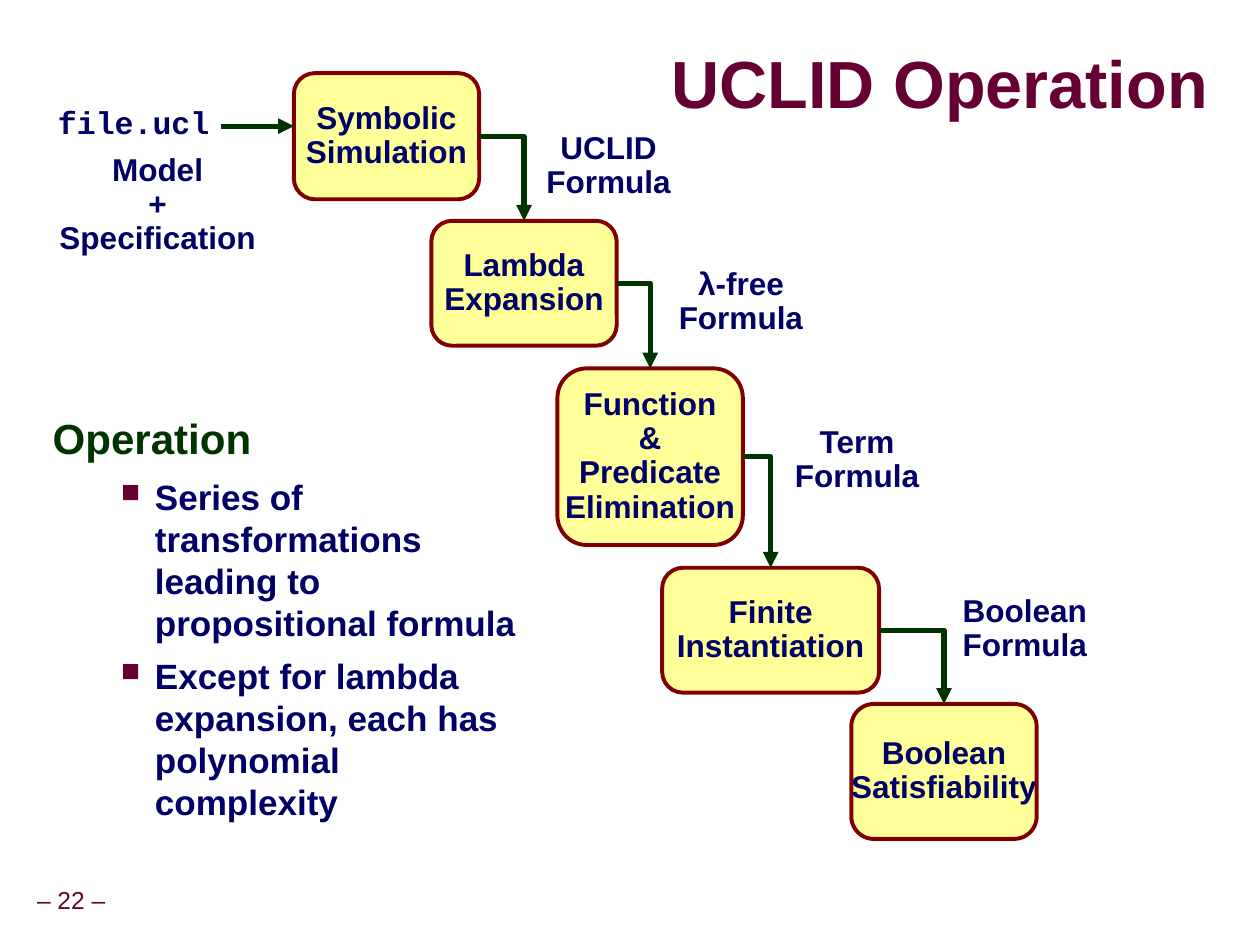
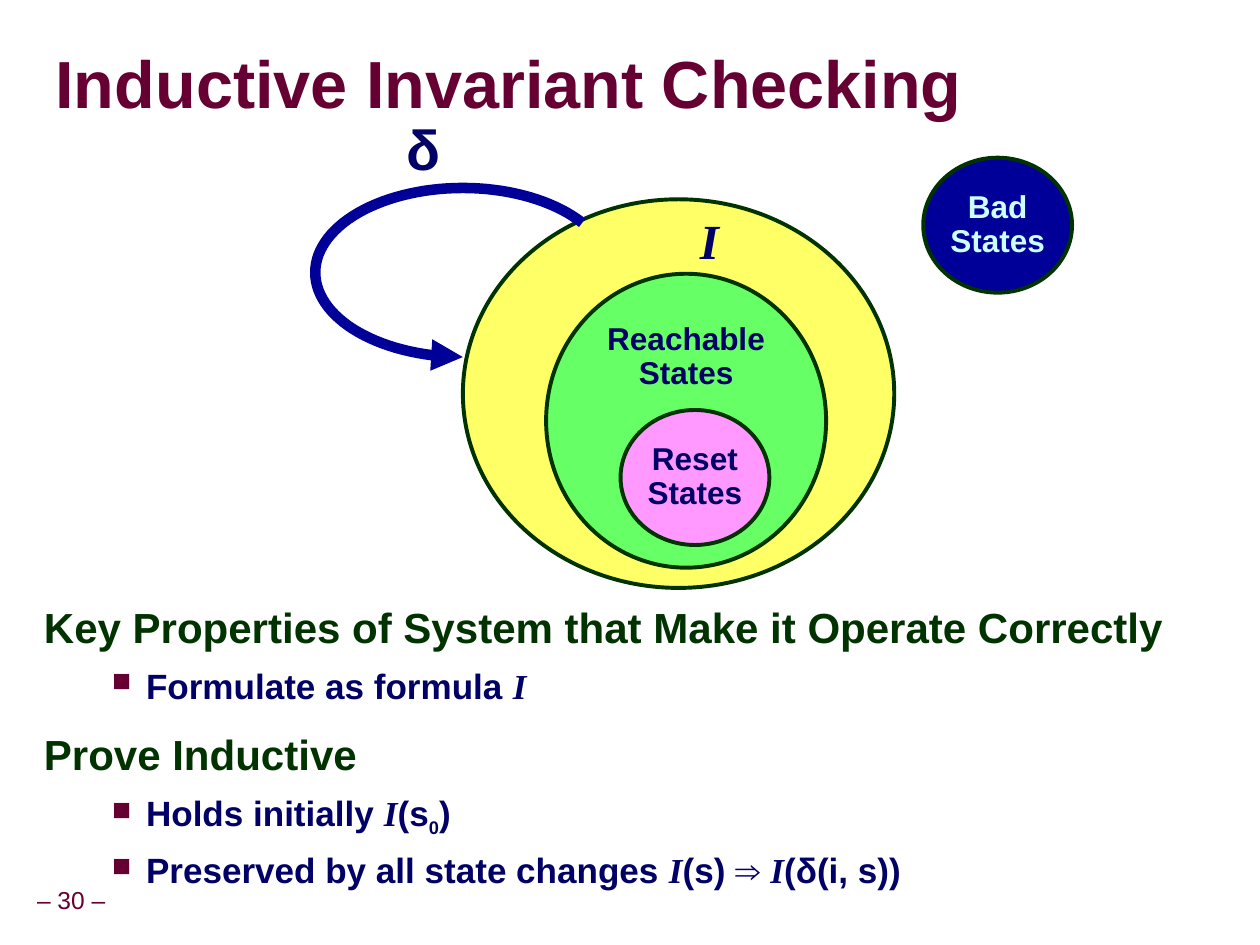
from dataclasses import dataclass
from math import cos, radians, sin
from typing import Optional

from lxml.etree import SubElement
from pptx import Presentation
from pptx.dml.color import RGBColor
from pptx.enum.shapes import MSO_CONNECTOR, MSO_SHAPE
from pptx.enum.text import MSO_ANCHOR, MSO_AUTO_SIZE, PP_ALIGN
from pptx.oxml.ns import qn
from pptx.util import Inches, Pt


@dataclass(frozen=True)
class Theme:
    wine: str = "660033"
    green: str = "003300"
    navy: str = "000066"
    blue: str = "000099"
    pale: str = "CCFFFF"
    brick: str = "800000"
    cream: str = "FFFF99"
    yellow: str = "FFFF66"
    lime: str = "66FF66"
    pink: str = "FF99FF"
    shadow: str = "969696"
    sans: str = "Arial"
    serif: str = "Times New Roman"
    mono: str = "Courier New"
    title: int = 38
    heading: int = 24
    bullet: int = 20
    label: int = 18
    footer: int = 14
    outline: float = 2.25


THEME = Theme()


@dataclass(frozen=True)
class Area:
    left: float
    top: float
    width: float
    height: float

    def emu(self) -> tuple:
        return tuple(Inches(v) for v in (self.left, self.top, self.width, self.height))


@dataclass(frozen=True)
class Style:
    size: int = THEME.label
    color: str = THEME.navy
    name: str = THEME.sans
    bold: bool = True
    italic: bool = False
    baseline: int = 0


@dataclass(frozen=True)
class Span:
    text: str
    style: Style


@dataclass(frozen=True)
class Label:
    area: Area
    lines: tuple
    style: Style = Style()
    align: PP_ALIGN = PP_ALIGN.CENTER


@dataclass(frozen=True)
class Stage:
    area: Area
    lines: tuple


@dataclass(frozen=True)
class StateSet:
    area: Area
    fill: str
    lines: tuple = ()
    color: str = THEME.navy
    anchor: MSO_ANCHOR = MSO_ANCHOR.MIDDLE


@dataclass(frozen=True)
class Item:
    spans: tuple
    bullet: bool = True


LABEL = Style()
BULLET = Style(size=THEME.bullet)
SYMBOL = Style(size=THEME.bullet, name=THEME.serif, italic=True)
SUBSCRIPT = Style(baseline=-25000)
HEADING = Style(size=THEME.heading, color=THEME.green)
TITLE = Style(size=THEME.title, color=THEME.wine)
FOOTER = Style(size=THEME.footer, color=THEME.wine, bold=False)

STAGES = (
    Stage(Area(2.33, 0.58, 1.47, 1), ("Symbolic", "Simulation")),
    Stage(Area(3.42, 1.75, 1.47, 0.99), ("Lambda", "Expansion")),
    Stage(Area(4.42, 2.92, 1.47, 1.4), ("Function", "&", "Predicate", "Elimination")),
    Stage(Area(5.25, 4.5, 1.72, 0.99), ("Finite", "Instantiation")),
    Stage(Area(6.75, 5.58, 1.47, 1.07), ("Boolean", "Satisfiability")),
)
FLOW_LABELS = (
    Label(Area(0.41, 0.8, 1.3, 0.37), ("file.ucl",), Style(name=THEME.mono), PP_ALIGN.RIGHT),
    Label(Area(0.42, 1.17, 1.66, 0.91), ("Model", "+", "Specification")),
    *(Label(Area(left, top, 1.09, 0.64), (kind, "Formula")) for left, top, kind in (
        (4.28, 1, "UCLID"), (5.33, 2.08, "λ-free"), (6.25, 3.33, "Term"), (7.58, 4.67, "Boolean"))),
)
STATE_SETS = (
    StateSet(Area(3.67, 1.58, 3.42, 3.08), THEME.yellow),
    StateSet(Area(4.33, 2.17, 2.22, 2.33), THEME.lime, ("Reachable", "States"), anchor=MSO_ANCHOR.TOP),
    StateSet(Area(4.92, 3.25, 1.18, 1.07), THEME.pink, ("Reset", "States")),
    StateSet(Area(7.32, 1.25, 1.18, 1.07), THEME.blue, ("Bad", "States"), THEME.pale),
)
SET_LABELS = (
    Label(Area(5.5, 1.67, 0.25, 0.52), ("I",), Style(size=28, name=THEME.serif, italic=True)),
    Label(Area(3.17, 0.92, 0.32, 0.58), ("δ",), Style(size=32)),
)
OPERATION = (
    Item((Span("Operation", HEADING),), False),
    Item((Span("Series of transformations leading to propositional formula", BULLET),)),
    Item((Span("Except for lambda expansion, each has polynomial complexity", BULLET),)),
)
PROPERTIES = (
    Item((Span("Key Properties of System that Make it Operate Correctly", HEADING),), False),
    Item((Span("Formulate as formula ", BULLET), Span("I", SYMBOL))),
    Item((Span("Prove Inductive", HEADING),), False),
    Item((Span("Holds initially ", BULLET), Span("I", SYMBOL), Span("(s", BULLET),
          Span("0", SUBSCRIPT), Span(")", BULLET))),
    Item((Span("Preserved by all state changes ", BULLET), Span("I", SYMBOL),
          Span("(s) ⇒ ", BULLET), Span("I", SYMBOL), Span("(δ(i, s))", BULLET))),
)


def apply(target, values: dict) -> None:
    for key, value in values.items():
        setattr(target, key, value)


def rgb(color: str) -> RGBColor:
    return RGBColor.from_string(color)


def add_span(para, text: str, style: Style):
    span = para.add_run()
    span.text = text
    apply(span.font, {"size": Pt(style.size), "name": style.name,
                      "bold": style.bold, "italic": style.italic})
    span.font.color.rgb = rgb(style.color)
    if style.baseline:
        span.font._element.set("baseline", str(style.baseline))
    return span


def set_frame(frame, inset: tuple = (0.05, 0.05), wrap: bool = False,
              anchor: MSO_ANCHOR = MSO_ANCHOR.TOP,
              fit: MSO_AUTO_SIZE = MSO_AUTO_SIZE.NONE) -> None:
    side, end = (Inches(v) for v in inset)
    apply(frame, {"margin_left": side, "margin_right": side, "margin_top": end,
                  "margin_bottom": end, "word_wrap": wrap,
                  "vertical_anchor": anchor, "auto_size": fit})


def next_para(frame, index: int):
    return frame.add_paragraph() if index else frame.paragraphs[0]


def write_lines(frame, lines: tuple, style: Style, align: PP_ALIGN = PP_ALIGN.CENTER) -> None:
    for index, line in enumerate(lines):
        para = next_para(frame, index)
        apply(para, {"alignment": align, "line_spacing": 0.9})
        add_span(para, line, style)


def add_label(page, label: Label, anchor: MSO_ANCHOR = MSO_ANCHOR.TOP) -> None:
    frame = page.shapes.add_textbox(*label.area.emu()).text_frame
    set_frame(frame, anchor=anchor, fit=MSO_AUTO_SIZE.SHAPE_TO_FIT_TEXT)
    write_lines(frame, label.lines, label.style, label.align)


def add_bullet(para) -> None:
    props = para._p.get_or_add_pPr()
    SubElement(SubElement(props, qn("a:buClr")), qn("a:srgbClr"), val=THEME.wine)
    SubElement(props, qn("a:buSzPct"), val="75000")
    SubElement(props, qn("a:buChar"), char="■")


def add_body(page, area: Area, items: tuple) -> None:
    frame = page.shapes.add_textbox(*area.emu()).text_frame
    set_frame(frame, (0.1, 0.05), True)
    for index, item in enumerate(items):
        para = next_para(frame, index)
        margin, indent = (0.81, -0.27) if item.bullet else (0.42, -0.42)
        props = para._p.get_or_add_pPr()
        props.set("marL", str(Inches(margin)))
        props.set("indent", str(Inches(indent)))
        if item.bullet:
            add_bullet(para)
        before = 6.2 if item.bullet else 15
        apply(para, {"line_spacing": 1.0 if item.bullet else 0.95,
                     "space_before": Pt(before if index else 0)})
        for span in item.spans:
            add_span(para, span.text, span.style)


def add_box(page, kind: MSO_SHAPE, area: Area, fill: str, line: str, lines: tuple,
            style: Style = LABEL, anchor: MSO_ANCHOR = MSO_ANCHOR.MIDDLE):
    box = page.shapes.add_shape(kind, *area.emu())
    box.shadow.inherit = False
    box.fill.solid()
    box.fill.fore_color.rgb = rgb(fill)
    box.line.color.rgb = rgb(line)
    box.line.width = Pt(THEME.outline)
    set_frame(box.text_frame, anchor=anchor)
    write_lines(box.text_frame, lines, style)
    return box


def set_arrow(shape, color: str, width: float) -> None:
    shape.line.color.rgb = rgb(color)
    shape.line.width = Pt(width)
    SubElement(shape.line._get_or_add_ln(), qn("a:tailEnd"), type="triangle")


def add_arrow(page, kind: MSO_CONNECTOR, start: tuple = (0, 0), end: tuple = (0, 0)):
    arrow = page.shapes.add_connector(kind, *(Inches(v) for v in (*start, *end)))
    set_arrow(arrow, THEME.green, 3)
    SubElement(arrow._element.spPr, qn("a:effectLst"))
    return arrow


def add_step(page, source, target) -> None:
    arrow = add_arrow(page, MSO_CONNECTOR.ELBOW)
    arrow.begin_connect(source, 3)
    arrow.end_connect(target, 0)
    arrow._element.spPr.find(qn("a:prstGeom")).set("prst", "bentConnector2")


def add_loop(page, center: tuple, radii: tuple, first: int, last: int) -> None:
    points = [tuple(Inches(c + r * turn(radians(angle)))
                    for c, r, turn in zip(center, radii, (cos, sin)))
              for angle in range(first, last - 1, -3)]
    builder = page.shapes.build_freeform(*points[0])
    builder.add_line_segments(points[1:], close=False)
    loop = builder.convert_to_shape()
    loop.shadow.inherit = False
    loop.fill.background()
    set_arrow(loop, THEME.blue, 6)


def add_page(deck, title: str, number: int, width: float,
             align: Optional[PP_ALIGN] = PP_ALIGN.LEFT):
    page = deck.slides.add_slide(deck.slide_layouts[5])
    heading = page.shapes.title
    left, top, wide, high = Area(0.44, 0.27, width, 0.85).emu()
    apply(heading, {"left": left, "top": top, "width": wide, "height": high})
    set_frame(heading.text_frame, (0, 0), True, MSO_ANCHOR.MIDDLE)
    para = heading.text_frame.paragraphs[0]
    apply(para, {"alignment": align, "line_spacing": 0.87})
    span = add_span(para, title, TITLE)
    effects = SubElement(span.font._element, qn("a:effectLst"))
    span.font._element.find(qn("a:solidFill")).addnext(effects)
    shadow = SubElement(effects, qn("a:outerShdw"), dist="38100", dir="2700000")
    SubElement(shadow, qn("a:srgbClr"), val=THEME.shadow)
    add_label(page, Label(Area(-0.09, 6.99, 1.31, 0.31), (f"– {number} –",), FOOTER),
              MSO_ANCHOR.MIDDLE)
    return page


def build_operation(deck) -> None:
    page = add_page(deck, "UCLID Operation", 22, 9.14, PP_ALIGN.RIGHT)
    add_body(page, Area(0.32, 3.25, 3.93, 3.79), OPERATION)
    boxes = [add_box(page, MSO_SHAPE.ROUNDED_RECTANGLE, stage.area, THEME.cream,
                     THEME.brick, stage.lines) for stage in STAGES]
    add_arrow(page, MSO_CONNECTOR.STRAIGHT, (1.75, 1), (2.33, 1))
    for source, target in zip(boxes, boxes[1:]):
        add_step(page, source, target)
    for label in FLOW_LABELS:
        add_label(page, label)


def build_invariant(deck) -> None:
    page = add_page(deck, "Inductive Invariant Checking", 30, 9.52)
    add_body(page, Area(0.25, 4.75, 9.07, 2.74), PROPERTIES)
    for states in STATE_SETS:
        add_box(page, MSO_SHAPE.OVAL, states.area, states.fill, THEME.green,
                states.lines, Style(color=states.color), states.anchor)
    add_loop(page, (3.67, 2.16), (1.17, 0.67), -36, -270)
    for label in SET_LABELS:
        add_label(page, label)


def main() -> None:
    deck = Presentation()
    apply(deck, {"slide_width": Inches(9.99), "slide_height": Inches(7.49)})
    build_operation(deck)
    build_invariant(deck)
    deck.save("out.pptx")


if __name__ == "__main__":
    main()
